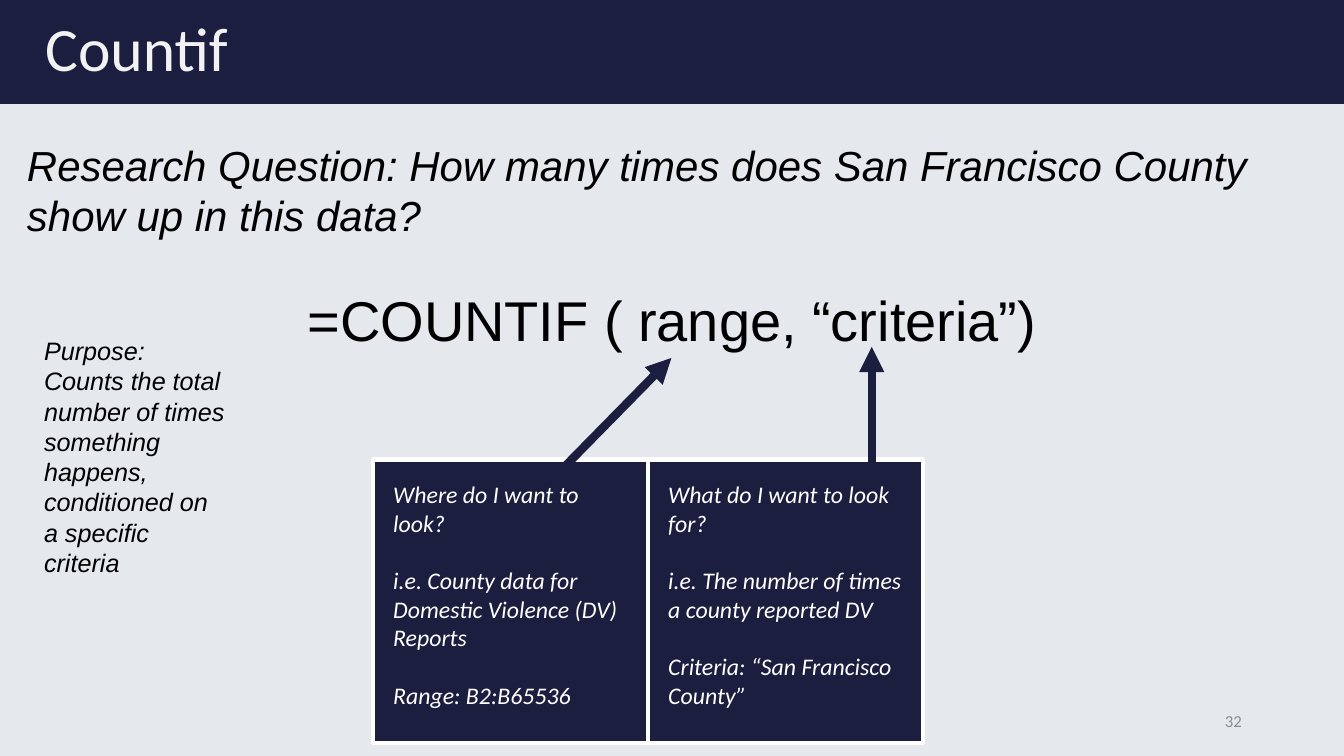
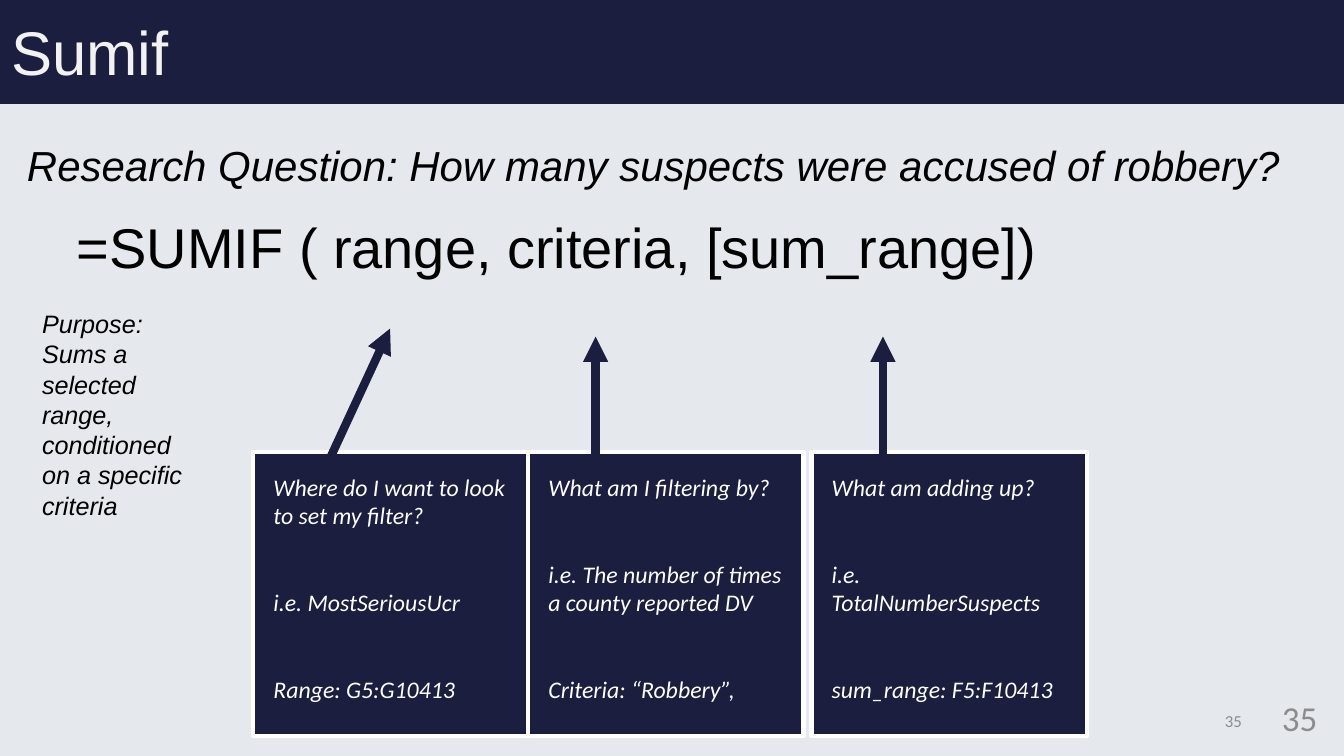
from lxml import etree
from pptx import Presentation
from pptx.dml.color import RGBColor
from pptx.enum.shapes import MSO_CONNECTOR, MSO_SHAPE
from pptx.enum.text import MSO_ANCHOR, PP_ALIGN
from pptx.oxml.ns import qn
from pptx.util import Cm, Pt

RECT, STRAIGHT = MSO_SHAPE.RECTANGLE, MSO_CONNECTOR.STRAIGHT
TOP, MIDDLE = MSO_ANCHOR.TOP, MSO_ANCHOR.MIDDLE
LEFT, CENTER, RIGHT = PP_ALIGN.LEFT, PP_ALIGN.CENTER, PP_ALIGN.RIGHT

# Shared style; all lengths are in cm
NAVY, PALE, WHITE, BLACK = "1B1E3E", "E5E9EE", "FFFFFF", "000000"
TITLE_COLOR, NUMBER_COLOR = "F2F2F2", "8C8C8C"
SLIDE_W, SLIDE_H, BAND_H = 33.87, 19.05, 2.62
CARD_W, CARD_H, CARD_INSET = 6.94, 7.14, 0.51
ARROW_FOOT = 0.25  # how far an arrow starts below the top of its card

# Content; each card: left, x of arrow foot, arrow tip, paragraphs
SLIDES = [
    {
        "title": "Countif", "title_at": (0.89, 0), "title_font": "Calibri",
        "question": "Research Question: How many times does San Francisco County "
                    "show up in this data?",
        "formula": "=COUNTIF ( range, “criteria”)",
        "formula_box": (7.09, 7.06, 19.69, 1.96),
        "purpose": "Purpose: Counts the total number of times something happens, "
                   "conditioned on a specific criteria",
        "purpose_box": (0.86, 8.33, 5.11, 7.19),
        "cards_top": 11.58, "card_gap": 20.75,
        "cards": [
            (9.4, 14.16, (16.92, 9.02),
             ["Where do I want to look?",
              "i.e. County data for Domestic Violence (DV) Reports",
              "Range: B2:B65536"]),
            (16.33, 21.97, (21.97, 8.74),
             ["What do I want to look for?",
              "i.e. The number of times a county reported DV",
              "Criteria: “San Francisco County”"]),
        ],
        "numbers": [("32", 12, 23.93, 17.65)],
    },
    {
        "title": "Sumif", "title_at": (0.03, 0.08), "title_font": "Arial",
        "question": "Research Question: How many suspects were accused of robbery?",
        "formula": "=SUMIF ( range, criteria, [sum_range])",
        "formula_box": (0, 5.23, 28.05, 1.96),
        "purpose": "Purpose: Sums a selected range, conditioned on a specific criteria",
        "purpose_box": (0.81, 7.65, 4.52, 6.4),
        "cards_top": 11.4, "card_gap": 41.5,
        "cards": [
            (6.38, 8.27, (9.83, 8.28),
             ["Where do I want to look to set my filter?",
              "i.e. MostSeriousUcr", "Range: G5:G10413"]),
            (13.31, 15.01, (15.01, 8.48),
             ["What am I filtering by?",
              "i.e. The number of times a county reported DV",
              "Criteria: “Robbery”,"]),
            (20.45, 22.25, (22.25, 8.48),
             ["What am adding up?", "i.e. TotalNumberSuspects",
              "sum_range: F5:F10413"]),
        ],
        "numbers": [("35", 12, 23.93, 17.65), ("35", 25, 25.83, 17.58)],
    },
]


def rgb(color):
    return RGBColor.from_string(color)


def write(shape, text, size, color=BLACK, font="Arial", italic=False,
          align=LEFT, anchor=TOP, gap=0, line_spacing=1.0):
    """Fill a shape with one paragraph, or one per item of a list."""
    frame = shape.text_frame
    frame.word_wrap = True
    frame.vertical_anchor = anchor
    for i, line in enumerate([text] if isinstance(text, str) else text):
        paragraph = frame.add_paragraph() if i else frame.paragraphs[0]
        paragraph.text = line
        paragraph.alignment = align
        paragraph.line_spacing = line_spacing
        paragraph.space_before = Pt(gap if i else 0)
        paragraph.font.name = font
        paragraph.font.size = Pt(size)
        paragraph.font.italic = italic
        paragraph.font.color.rgb = rgb(color)


def add_text(slide, box, text, size, **style):
    write(slide.shapes.add_textbox(*map(Cm, box)), text, size, **style)


def add_block(slide, box, border=None):
    block = slide.shapes.add_shape(RECT, *map(Cm, box))
    block.shadow.inherit = False
    block.fill.solid()
    block.fill.fore_color.rgb = rgb(NAVY)
    if border:
        block.line.color.rgb = rgb(border)
        block.line.width = Pt(3)
    else:
        block.line.fill.background()
    return block


def add_arrow(slide, foot, tip):
    arrow = slide.shapes.add_connector(STRAIGHT, *map(Cm, foot + tip))
    arrow.line.color.rgb = rgb(NAVY)
    arrow.line.width = Pt(6)
    etree.SubElement(arrow.line._get_or_add_ln(), qn("a:tailEnd"), type="triangle")
    etree.SubElement(arrow._element.spPr, qn("a:effectLst"))


def add_card(slide, top, gap, left, foot_x, tip, lines):
    card = add_block(slide, (left, top, CARD_W, CARD_H), WHITE)
    frame = card.text_frame
    frame.margin_left = frame.margin_right = frame.margin_top = Cm(CARD_INSET)
    write(card, lines, 17, color=WHITE, font="Calibri", italic=True, gap=gap)
    add_arrow(slide, (foot_x, top + ARROW_FOOT), tip)


def build_slide(deck, layout, content):
    slide = deck.slides.add_slide(layout)

    # Title band
    add_block(slide, (0, 0, SLIDE_W, BAND_H))
    add_text(slide, (*content["title_at"], 29.21, BAND_H), content["title"], 44,
             color=TITLE_COLOR, font=content["title_font"], anchor=MIDDLE,
             line_spacing=0.9)

    # Question, formula and purpose
    add_text(slide, (0.43, 3.38, 33.25, 2.82), content["question"], 30, italic=True)
    add_text(slide, content["formula_box"], content["formula"], 40, align=CENTER)
    add_text(slide, content["purpose_box"], content["purpose"], 18, italic=True)

    # Explanation of each argument
    for card in content["cards"]:
        add_card(slide, content["cards_top"], content["card_gap"], *card)

    # Slide number
    for number, size, left, top in content["numbers"]:
        add_text(slide, (left, top, 7.62, 1.02), number, size, color=NUMBER_COLOR,
                 font="Calibri", align=RIGHT, anchor=MIDDLE)


def main():
    deck = Presentation()
    deck.slide_width, deck.slide_height = Cm(SLIDE_W), Cm(SLIDE_H)
    blank = deck.slide_layouts[6]
    blank.background.fill.solid()
    blank.background.fill.fore_color.rgb = rgb(PALE)
    for content in SLIDES:
        build_slide(deck, blank, content)
    deck.save("out.pptx")


if __name__ == "__main__":
    main()
